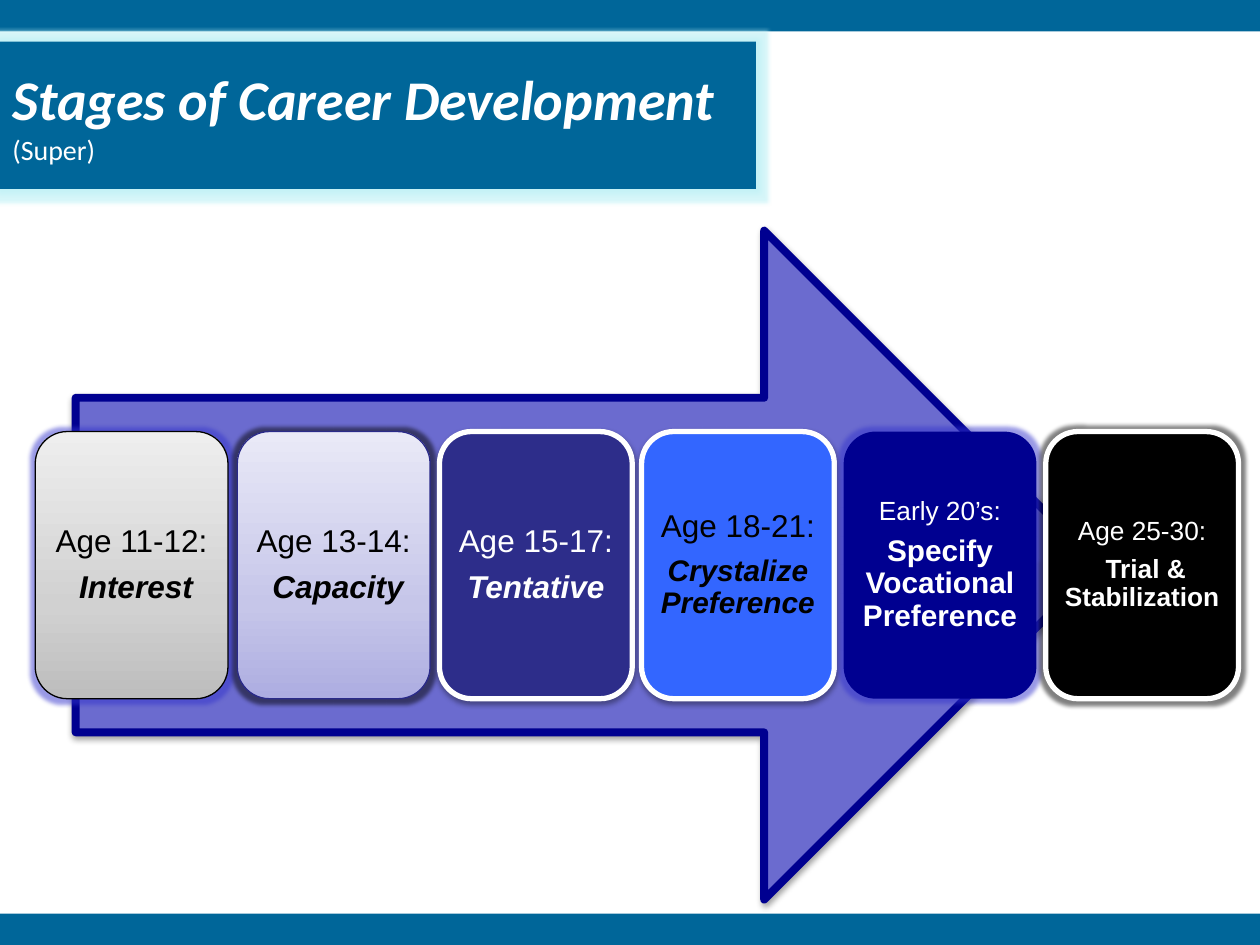
from copy import deepcopy
from dataclasses import dataclass

from lxml import etree
from pptx import Presentation
from pptx.dml.color import RGBColor
from pptx.enum.shapes import MSO_SHAPE
from pptx.enum.text import MSO_ANCHOR, PP_ALIGN
from pptx.oxml.ns import qn
from pptx.util import Inches, Pt

RECTANGLE = MSO_SHAPE.RECTANGLE
ROUNDED = MSO_SHAPE.ROUNDED_RECTANGLE
ARROW = MSO_SHAPE.RIGHT_ARROW
MIDDLE = MSO_ANCHOR.MIDDLE
LEFT = PP_ALIGN.LEFT
CENTER = PP_ALIGN.CENTER

WHITE = RGBColor(0xFF, 0xFF, 0xFF)
BLACK = RGBColor(0x00, 0x00, 0x00)
TEAL = RGBColor(0x00, 0x66, 0x99)
PALE_CYAN = RGBColor(0xBB, 0xF0, 0xF5)
NAVY = RGBColor(0x00, 0x00, 0x90)
INDIGO = RGBColor(0x2D, 0x2D, 0x8A)
DARK_INDIGO = RGBColor(0x2A, 0x2A, 0x89)
LAVENDER = RGBColor(0x6B, 0x6B, 0xCF)
BRIGHT_BLUE = RGBColor(0x33, 0x66, 0xFF)
GLOW_BLUE = RGBColor(0x33, 0x33, 0xCC)
GRAYS = (RGBColor(0xBD, 0xBD, 0xBD), RGBColor(0xD1, 0xD1, 0xD1), RGBColor(0xEE, 0xEE, 0xEE))
LILACS = (RGBColor(0xAD, 0xAD, 0xE1), RGBColor(0xC6, 0xC6, 0xE9), RGBColor(0xE9, 0xE9, 0xF7))
GRADIENT_POSITIONS = (0, 0.35, 1)


@dataclass
class Stage:
    age: str
    name: str
    fill: object
    color: RGBColor
    line: object = None
    line_width: float = 3
    glow: object = None
    age_size: int = 18
    name_size: int = 18
    italic: bool = True
    inset: float = 0.07


STAGES = (
    Stage("Age 11-12:", " Interest", GRAYS, BLACK, BLACK, 0.75, GLOW_BLUE),
    Stage("Age 13-14:", " Capacity", LILACS, BLACK, DARK_INDIGO, 0.75, BLACK),
    Stage("Age 15-17:", "Tentative", INDIGO, WHITE, WHITE),
    Stage("Age 18-21:", "Crystalize Preference", BRIGHT_BLUE, BLACK, WHITE, name_size=17),
    Stage("Early 20’s:", "Specify Vocational Preference", NAVY, WHITE, glow=GLOW_BLUE,
          age_size=15, name_size=17, italic=False, inset=0.06),
    Stage("Age 25-30:", " Trial & Stabilization", BLACK, WHITE, WHITE, glow=BLACK,
          age_size=15, name_size=15, italic=False, inset=0.06),
)


def add_effect(shape, tag, color, opacity, **attributes):
    effects = shape._element.spPr.find(qn("a:effectLst"))
    effect = etree.SubElement(effects, qn(tag), {key: str(value) for key, value in attributes.items()})
    tone = etree.SubElement(effect, qn("a:srgbClr"), val=str(color))
    etree.SubElement(tone, qn("a:alpha"), val=str(opacity * 1000))


def add_glow(shape, color, opacity):
    add_effect(shape, "a:glow", color, opacity, rad=int(Pt(5)))


def add_shadow(shape):
    add_effect(shape, "a:outerShdw", BLACK, 36, blurRad=int(Pt(3.1)), dist=int(Pt(1.7)),
               dir=5400000, rotWithShape=0)


def paint_gradient(shape, colors):
    shape.fill.gradient()
    shape.fill.gradient_angle = 90
    first = shape._element.spPr.find(".//" + qn("a:gs"))
    first.addnext(deepcopy(first))
    for stop, position, color in zip(shape.fill.gradient_stops, GRADIENT_POSITIONS, colors):
        stop.position = position
        stop.color.rgb = color


def add_block(page, kind, box, fill, line=None, line_width=1):
    shape = page.shapes.add_shape(kind, *map(Inches, box))
    shape.shadow.inherit = False
    if isinstance(fill, RGBColor):
        shape.fill.solid()
        shape.fill.fore_color.rgb = fill
    else:
        paint_gradient(shape, fill)
    if line is None:
        shape.line.fill.background()
    else:
        shape.line.color.rgb = line
        shape.line.width = Pt(line_width)
    return shape


def add_span(para, text, font, size, color, bold=False, italic=False):
    span = para.add_run()
    span.text = text
    span.font.name = font
    span.font.size = Pt(size)
    span.font.color.rgb = color
    span.font.bold = bold
    span.font.italic = italic


def add_title(page, box):
    title = add_block(page, RECTANGLE, box, TEAL)
    add_glow(title, PALE_CYAN, 60)
    frame = title.text_frame
    frame.word_wrap = True
    frame.vertical_anchor = MIDDLE
    para = frame.paragraphs[0]
    para.alignment = LEFT
    add_span(para, "Stages of Career Development", "Calibri", 32, WHITE, True, True)
    para.add_line_break()
    add_span(para, "(Super)", "Calibri", 16, WHITE)


def add_card(page, box, stage):
    card = add_block(page, ROUNDED, box, stage.fill, stage.line, stage.line_width)
    if stage.glow is None:
        add_shadow(card)
    else:
        add_glow(card, stage.glow, 50)
    frame = card.text_frame
    frame.word_wrap = True
    frame.vertical_anchor = MIDDLE
    frame.margin_left = frame.margin_right = Inches(stage.inset)
    frame.margin_top = frame.margin_bottom = Inches(stage.inset)
    paras = frame.paragraphs[0], frame.add_paragraph()
    for para in paras:
        para.alignment = CENTER
        para.line_spacing = 0.9
        para.space_after = Pt(stage.age_size * 0.38)
    add_span(paras[0], stage.age, "Arial", stage.age_size, stage.color)
    add_span(paras[1], stage.name, "Arial", stage.name_size, stage.color, True, stage.italic)


def add_process(page, box):
    left, top, width, height = box
    margin = 0.32
    arrow = add_block(page, ARROW, (left + margin, top, 8.12, height), LAVENDER, NAVY, 4.5)
    add_shadow(arrow)
    card_width, card_height = 1.53, 2.12
    pitch = (width - card_width) / (len(STAGES) - 1)
    card_top = top + (height - card_height) / 2
    for index, stage in enumerate(STAGES):
        add_card(page, (left + index * pitch, card_top, card_width, card_height), stage)


def main():
    deck = Presentation()
    deck.slide_width = Inches(10)
    deck.slide_height = Inches(7.5)
    page = deck.slides.add_slide(deck.slide_layouts[6])
    for band_top in (0, 7.25):
        add_block(page, RECTANGLE, (0, band_top, 10, 0.25), TEAL)
    add_title(page, (0, 0.33, 6, 1.17))
    add_process(page, (0.28, 1.83, 9.55, 5.31))
    deck.save("out.pptx")


if __name__ == "__main__":
    main()
